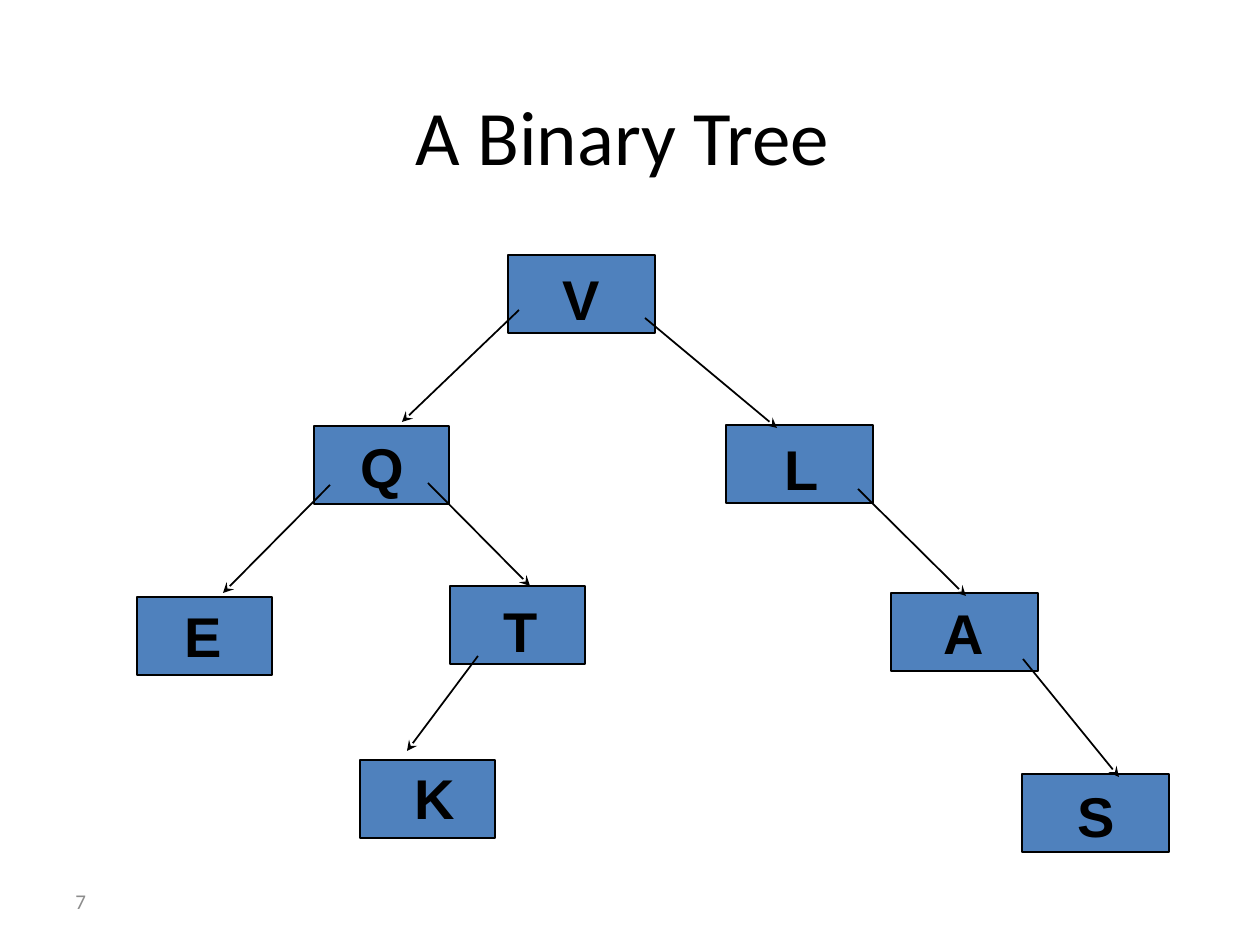
from typing import NamedTuple

from lxml import etree
from pptx import Presentation
from pptx.dml.color import RGBColor
from pptx.enum.shapes import MSO_CONNECTOR, MSO_SHAPE
from pptx.enum.text import MSO_ANCHOR, PP_ALIGN
from pptx.oxml.ns import qn
from pptx.util import Emu, Pt

RECTANGLE = MSO_SHAPE.RECTANGLE
STRAIGHT = MSO_CONNECTOR.STRAIGHT
LEFT, CENTER = PP_ALIGN.LEFT, PP_ALIGN.CENTER
TOP, MIDDLE, BOTTOM = MSO_ANCHOR.TOP, MSO_ANCHOR.MIDDLE, MSO_ANCHOR.BOTTOM

PIXELS_PER_INCH = 126
NODE_HEIGHT = 78
LABEL_WIDTH, LABEL_HEIGHT = 132, 79
NARROW, WIDE = 135, 147
BLACK, GRAY, BLUE = "000000", "8C8C8C", "4F81BD"


class Node(NamedTuple):
    letter: str
    left: int
    top: int
    width: int
    label_center: int
    label_top: int


class Edge(NamedTuple):
    child_x: int
    child_y: int
    parent_x: int
    parent_y: int


class Style(NamedTuple):
    font: str
    size: int
    color: str
    bold: bool
    align: PP_ALIGN
    anchor: MSO_ANCHOR


TITLE = Style("Calibri", 44, BLACK, False, CENTER, BOTTOM)
NUMBER = Style("Calibri", 12, GRAY, False, LEFT, MIDDLE)
LABEL = Style("Arial", 32, BLACK, True, CENTER, TOP)

NODES = [
    Node("V", 508, 255, WIDE, 581, 258),
    Node("Q", 314, 426, NARROW, 382, 426),
    Node("L", 726, 425, WIDE, 802, 428),
    Node("A", 891, 593, WIDE, 964, 592),
    Node("S", 1022, 774, WIDE, 1096, 775),
    Node("E", 137, 597, NARROW, 203, 595),
    Node("T", 450, 586, NARROW, 521, 590),
    Node("K", 360, 760, NARROW, 435, 757),
]
EDGES = [
    Edge(777, 428, 645, 318),
    Edge(966, 596, 858, 489),
    Edge(1119, 777, 1023, 659),
    Edge(530, 586, 428, 483),
    Edge(223, 593, 330, 485),
    Edge(407, 751, 478, 656),
    Edge(402, 422, 519, 310),
]


def px(pixels: int) -> Emu:
    return Emu(round(pixels * 914400 / PIXELS_PER_INCH))


def rgb(value: str) -> RGBColor:
    return RGBColor.from_string(value)


def add_text(page, text: str, left: int, top: int, width: int, height: int,
             style: Style) -> None:
    box = page.shapes.add_textbox(px(left), px(top), px(width), px(height))
    frame = box.text_frame
    frame.word_wrap = True
    frame.vertical_anchor = style.anchor
    para = frame.paragraphs[0]
    para.alignment = style.align
    span = para.add_run()
    span.text = text
    span.font.name = style.font
    span.font.size = Pt(style.size)
    span.font.bold = style.bold
    span.font.color.rgb = rgb(style.color)


def add_node(page, node: Node) -> None:
    box = page.shapes.add_shape(RECTANGLE, px(node.left), px(node.top),
                                px(node.width), px(NODE_HEIGHT))
    box.shadow.inherit = False
    box.fill.solid()
    box.fill.fore_color.rgb = rgb(BLUE)
    box.line.color.rgb = rgb(BLACK)
    box.line.width = Pt(1)


def add_edge(page, edge: Edge) -> None:
    arrow = page.shapes.add_connector(STRAIGHT, *(px(value) for value in edge))
    arrow.line.color.rgb = rgb(BLACK)
    arrow.line.width = Pt(1)
    etree.SubElement(arrow.line._get_or_add_ln(), qn("a:headEnd"), type="stealth")
    etree.SubElement(arrow._element.spPr, qn("a:effectLst"))


def add_label(page, node: Node) -> None:
    add_text(page, node.letter, node.label_center - LABEL_WIDTH // 2,
             node.label_top, LABEL_WIDTH, LABEL_HEIGHT, LABEL)


deck = Presentation()
deck.slide_width, deck.slide_height = px(1260), px(945)
page = deck.slides.add_slide(deck.slide_layouts[6])

add_text(page, "7", 63, 876, 294, 50, NUMBER)
add_text(page, "A Binary Tree", 82, 29, 1081, 158, TITLE)
for node in NODES:
    add_node(page, node)
for edge in EDGES:
    add_edge(page, edge)
for node in NODES:
    add_label(page, node)

deck.save("out.pptx")
